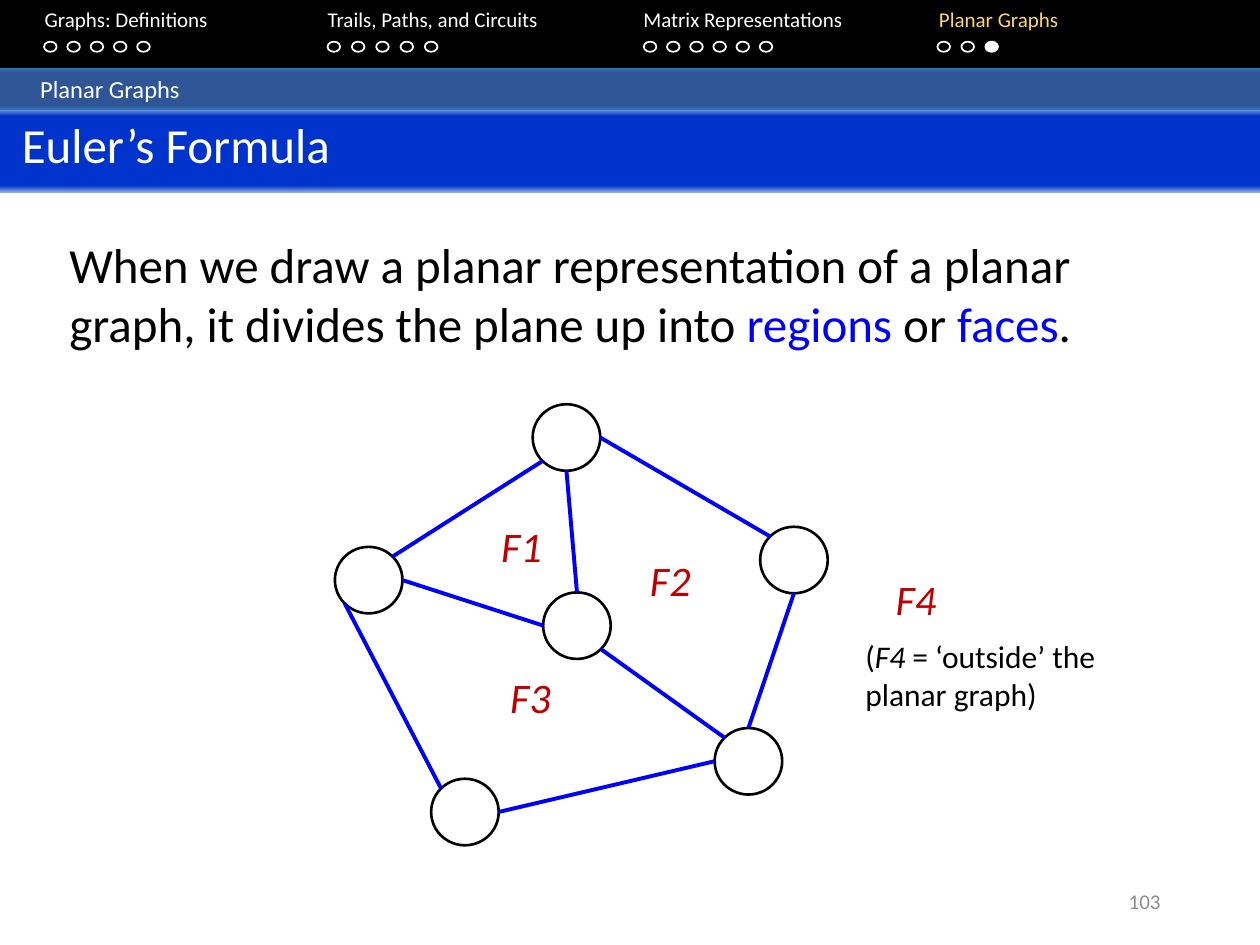
from math import sqrt

from lxml.etree import SubElement
from pptx import Presentation
from pptx.dml.color import RGBColor
from pptx.enum.shapes import MSO_CONNECTOR, MSO_SHAPE
from pptx.enum.text import MSO_ANCHOR, MSO_AUTO_SIZE, PP_ALIGN
from pptx.oxml.ns import qn
from pptx.util import Pt

BLACK = RGBColor(0x00, 0x00, 0x00)
WHITE = RGBColor(0xFF, 0xFF, 0xFF)
YELLOW = RGBColor(0xFF, 0xD9, 0x66)
GRAY = RGBColor(0x8C, 0x8C, 0x8C)
BLUE = RGBColor(0x00, 0x00, 0xFF)
RED = RGBColor(0xC0, 0x00, 0x00)
BAND_EDGE = RGBColor(0x2E, 0x75, 0xB6)
BAND_BLUE = RGBColor(0x2F, 0x55, 0x97)
TITLE_EDGE = RGBColor(0x8F, 0xAA, 0xDC)
TITLE_BLUE = RGBColor(0x00, 0x33, 0xCC)

FONT = "Calibri"
SECTIONS = [
    ("Graphs: Definitions", 18.5, 25.2, 13.3, 5),
    ("Trails, Paths, and Circuits", 180.2, 187.2, 13.9, 5),
    ("Matrix Representations", 360.6, 367.9, 13.25, 6),
    ("Planar Graphs", 529.5, 535.7, 13.7, 3),
]
DOT_WIDTH, DOT_HEIGHT = 7.2, 5.8
NODE_WIDTH, NODE_HEIGHT = 38.6, 38
NODES = {
    "top": (113, 0),
    "left": (0, 81.5),
    "centre": (119, 107.5),
    "right": (243, 70),
    "bottom": (55, 214),
    "lower right": (217, 185),
}
DIAGONAL = sqrt(0.5)
SIDES = {
    "N": (0, -1), "E": (1, 0), "S": (0, 1), "W": (-1, 0),
    "NE": (DIAGONAL, -DIAGONAL), "SE": (DIAGONAL, DIAGONAL),
    "SW": (-DIAGONAL, DIAGONAL), "NW": (-DIAGONAL, -DIAGONAL),
}
EDGES = [
    ("top", "SW", "left", "NE"),
    ("top", "S", "centre", "N"),
    ("top", "E", "right", "NW"),
    ("right", "S", "lower right", "N"),
    ("centre", "SE", "lower right", "NW"),
    ("left", "E", "centre", "W"),
    ("left", "SW", "bottom", "NW"),
    ("bottom", "E", "lower right", "W"),
]
FACES = [("F1", 80, 62.8), ("F2", 165, 82.2), ("F3", 85, 149.2)]


def add_plain_shape(slide, kind, left, top, width, height):
    shape = slide.shapes.add_shape(kind, Pt(left), Pt(top), Pt(width), Pt(height))
    shape.shadow.inherit = False
    shape.fill.background()
    shape.line.fill.background()
    return shape


def add_circle(slide, left, top, width, height, color, weight):
    shape = add_plain_shape(slide, MSO_SHAPE.OVAL, left, top, width, height)
    shape.line.color.rgb = color
    shape.line.width = Pt(weight)
    return shape


def fill_band(shape, edge, middle, start, end):
    shape.fill.gradient()
    shape.fill.gradient_angle = 270
    stops = next(shape._element.spPr.iter(qn("a:gsLst")))
    stops.clear()
    for percent, color in ((0, edge), (start, middle), (end, middle), (100, edge)):
        stop = SubElement(stops, qn("a:gs"), pos=str(percent * 1000))
        SubElement(stop, qn("a:srgbClr"), val=str(color))


def write(shape, runs, size, color, align=PP_ALIGN.LEFT, anchor=MSO_ANCHOR.TOP, tabs=()):
    frame = shape.text_frame
    frame.word_wrap = True
    frame.auto_size = MSO_AUTO_SIZE.NONE
    frame.vertical_anchor = anchor
    paragraph = frame.paragraphs[0]
    paragraph.alignment = align
    if tabs:
        tab_list = SubElement(paragraph._p.get_or_add_pPr(), qn("a:tabLst"))
        for position in tabs:
            SubElement(tab_list, qn("a:tab"), pos=str(int(Pt(position))), algn="l")
    paragraph.font.name = FONT
    paragraph.font.size = Pt(size)
    paragraph.font.color.rgb = color
    for text, run_color, italic in runs:
        run = paragraph.add_run()
        run.text = text
        if run_color is not None:
            run.font.color.rgb = run_color
        if italic:
            run.font.italic = True


def add_text(slide, box, runs, size, color, **layout):
    left, top, width, height = box
    text_box = slide.shapes.add_textbox(Pt(left), Pt(top), Pt(width), Pt(height))
    write(text_box, runs, size, color, **layout)


def add_navigation(slide, left, top, width, height):
    bar = add_plain_shape(slide, MSO_SHAPE.RECTANGLE, left, top, width, height)
    bar.fill.solid()
    bar.fill.fore_color.rgb = BLACK
    last = len(SECTIONS) - 1
    runs = [("\t" + section[0], YELLOW if index == last else None, False)
            for index, section in enumerate(SECTIONS)]
    add_text(slide, (left, top, width, 36), runs, 12, WHITE,
             tabs=[section[1] for section in SECTIONS])
    for _, _, start, step, count in SECTIONS:
        for index in range(count):
            dot = add_circle(slide, left + start + index * step, top + 23.8,
                             DOT_WIDTH, DOT_HEIGHT, WHITE, 1)
    dot.fill.solid()
    dot.fill.fore_color.rgb = WHITE


def add_section_band(slide, left, top, width, height):
    band = add_plain_shape(slide, MSO_SHAPE.RECTANGLE, left, top, width, height)
    fill_band(band, BAND_EDGE, BAND_BLUE, 11, 91)
    band.text_frame.margin_left = Pt(23)
    write(band, [("Planar Graphs", None, False)], 14, WHITE)


def place_title(slide, left, top, width, height):
    title = slide.shapes.title
    title.left, title.top = Pt(left), Pt(top)
    title.width, title.height = Pt(width), Pt(height)
    fill_band(title, TITLE_EDGE, TITLE_BLUE, 9, 92)
    title.text_frame.margin_left = Pt(12.5)
    write(title, [("Euler’s Formula", None, False)], 28, WHITE)


def add_face_label(slide, name, left, top):
    add_text(slide, (left, top, 53.3, 36), [(name, None, True)], 24, RED,
             align=PP_ALIGN.CENTER)


def add_graph(slide, left, top):
    def site(node, side):
        x, y = NODES[node]
        across, down = SIDES[side]
        return (Pt(left + x + NODE_WIDTH / 2 * (1 + across)),
                Pt(top + y + NODE_HEIGHT / 2 * (1 + down)))

    for x, y in NODES.values():
        add_circle(slide, left + x, top + y, NODE_WIDTH, NODE_HEIGHT, BLACK, 1.5)
    for start, start_side, end, end_side in EDGES:
        edge = slide.shapes.add_connector(
            MSO_CONNECTOR.STRAIGHT, *site(start, start_side), *site(end, end_side))
        edge.line.color.rgb = BLUE
        edge.line.width = Pt(2.25)
        SubElement(edge._element.spPr, qn("a:effectLst"))
    for name, x, y in FACES:
        add_face_label(slide, name, left + x, top + y)


def add_outside_note(slide, left, top):
    add_face_label(slide, "F4", left + 9.4, top)
    add_text(slide, (left, top + 36.7, 151.2, 51),
             [("(", None, False), ("F4", None, True),
              (" = ‘outside’ the planar graph)", None, False)], 18, BLACK)


def main():
    presentation = Presentation()
    presentation.slide_width = Pt(720)
    presentation.slide_height = Pt(540)
    slide = presentation.slides.add_slide(presentation.slide_layouts[5])
    add_navigation(slide, 0, 0, 720, 39)
    add_section_band(slide, 0, 39, 720, 23.5)
    place_title(slide, 0, 62, 720, 48)
    add_text(slide, (32.6, 130.3, 657.4, 75),
             [("When we draw a planar representation of a planar graph, "
               "it divides the plane up into ", None, False),
              ("regions", BLUE, False), (" or ", None, False),
              ("faces", BLUE, False), (".", None, False)], 28, BLACK)
    add_graph(slide, 191.4, 231)
    add_outside_note(slide, 487.4, 324)
    add_text(slide, (508.3, 500.4, 162, 28.8), [("103", None, False)], 12, GRAY,
             align=PP_ALIGN.RIGHT, anchor=MSO_ANCHOR.MIDDLE)
    presentation.save("out.pptx")


if __name__ == "__main__":
    main()
